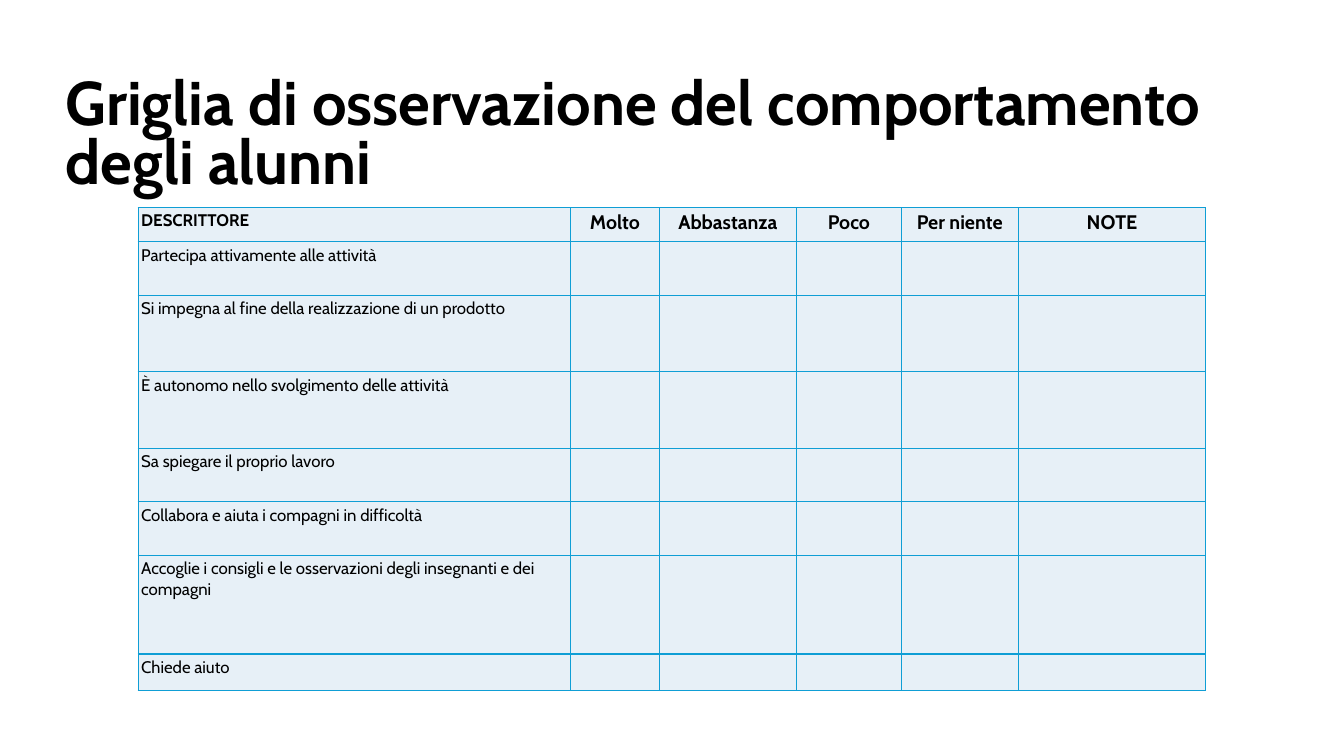
from dataclasses import dataclass

from lxml import etree
from pptx import Presentation
from pptx.dml.color import RGBColor
from pptx.enum import text
from pptx.oxml import ns
from pptx.util import Inches, Pt

BLACK = RGBColor(0x00, 0x00, 0x00)
PALE_BLUE = RGBColor(0xE7, 0xF0, 0xF7)
BORDER_BLUE = RGBColor(0x0F, 0x9E, 0xD5)
FONT = "Cabin"
CELL_MARGIN = Inches(0.03)


@dataclass(frozen=True)
class Column:
    heading: str
    width: float
    size: int = 14
    align: text.PP_ALIGN = text.PP_ALIGN.CENTER


@dataclass(frozen=True)
class Descriptor:
    wording: str
    height: float


HEADER_HEIGHT = 0.34
COLUMNS = [
    Column("DESCRITTORE", 4.29, 12, text.PP_ALIGN.LEFT),
    Column("Molto", 0.88),
    Column("Abbastanza", 1.36),
    Column("Poco", 1.04),
    Column("Per niente", 1.16),
    Column("NOTE", 1.86),
]
DESCRIPTORS = [
    Descriptor("Partecipa attivamente alle attività", 0.53),
    Descriptor("Si impegna al fine della realizzazione di un prodotto", 0.76),
    Descriptor("È autonomo nello svolgimento delle attività", 0.76),
    Descriptor("Sa spiegare il proprio lavoro", 0.53),
    Descriptor("Collabora e aiuta i compagni in difficoltà", 0.53),
    Descriptor("Accoglie i consigli e le osservazioni degli insegnanti e dei compagni", 0.98),
    Descriptor("Chiede aiuto", 0.36),
]


def format_paragraph(paragraph, size: int, bold: bool, align: text.PP_ALIGN) -> None:
    paragraph.alignment = align
    font = paragraph.font
    font.name, font.size, font.bold = FONT, Pt(size), bold
    font.color.rgb = BLACK


def add_borders(cell) -> None:
    properties = cell._tc.get_or_add_tcPr()
    for side in ("lnL", "lnR", "lnT", "lnB"):
        line = etree.SubElement(properties, ns.qn(f"a:{side}"), w=str(Pt(1)))
        fill = etree.SubElement(line, ns.qn("a:solidFill"))
        etree.SubElement(fill, ns.qn("a:srgbClr"), val=str(BORDER_BLUE))


def fill_cell(cell, wording: str, size: int, bold: bool, align: text.PP_ALIGN) -> None:
    cell.margin_left = cell.margin_right = CELL_MARGIN
    cell.margin_top = cell.margin_bottom = CELL_MARGIN
    add_borders(cell)
    cell.fill.solid()
    cell.fill.fore_color.rgb = PALE_BLUE
    cell.text = wording
    format_paragraph(cell.text_frame.paragraphs[0], size, bold, align)


def add_title(slide) -> None:
    title = slide.shapes.title
    title.left, title.top = Inches(0.65), Inches(0.11)
    title.width, title.height = Inches(12.32), Inches(1.84)
    frame = title.text_frame
    frame.text = "Griglia di osservazione del comportamento degli alunni"
    frame.word_wrap = True
    frame.auto_size = text.MSO_AUTO_SIZE.NONE
    frame.vertical_anchor = text.MSO_ANCHOR.BOTTOM
    frame.margin_left = frame.margin_right = 0
    frame.margin_top = frame.margin_bottom = 0
    heading = frame.paragraphs[0]
    heading.line_spacing = 0.8
    format_paragraph(heading, 44, True, text.PP_ALIGN.LEFT)


def add_observation_grid(slide) -> None:
    heights = [HEADER_HEIGHT] + [descriptor.height for descriptor in DESCRIPTORS]
    grid = slide.shapes.add_table(
        len(heights), len(COLUMNS), Inches(1.37), Inches(2.06),
        Inches(sum(column.width for column in COLUMNS)), Inches(sum(heights)),
    ).table
    for row, height in zip(grid.rows, heights):
        row.height = Inches(height)
    for index, column in enumerate(COLUMNS):
        grid.columns[index].width = Inches(column.width)
        fill_cell(grid.cell(0, index), column.heading, column.size, True, column.align)
        for number, descriptor in enumerate(DESCRIPTORS, start=1):
            wording = descriptor.wording if index == 0 else ""
            fill_cell(grid.cell(number, index), wording, 12, False, column.align)


def main() -> None:
    presentation = Presentation()
    presentation.slide_width, presentation.slide_height = Inches(13.33), Inches(7.5)
    slide = presentation.slides.add_slide(presentation.slide_layouts[5])
    add_title(slide)
    add_observation_grid(slide)
    presentation.save("out.pptx")


if __name__ == "__main__":
    main()
